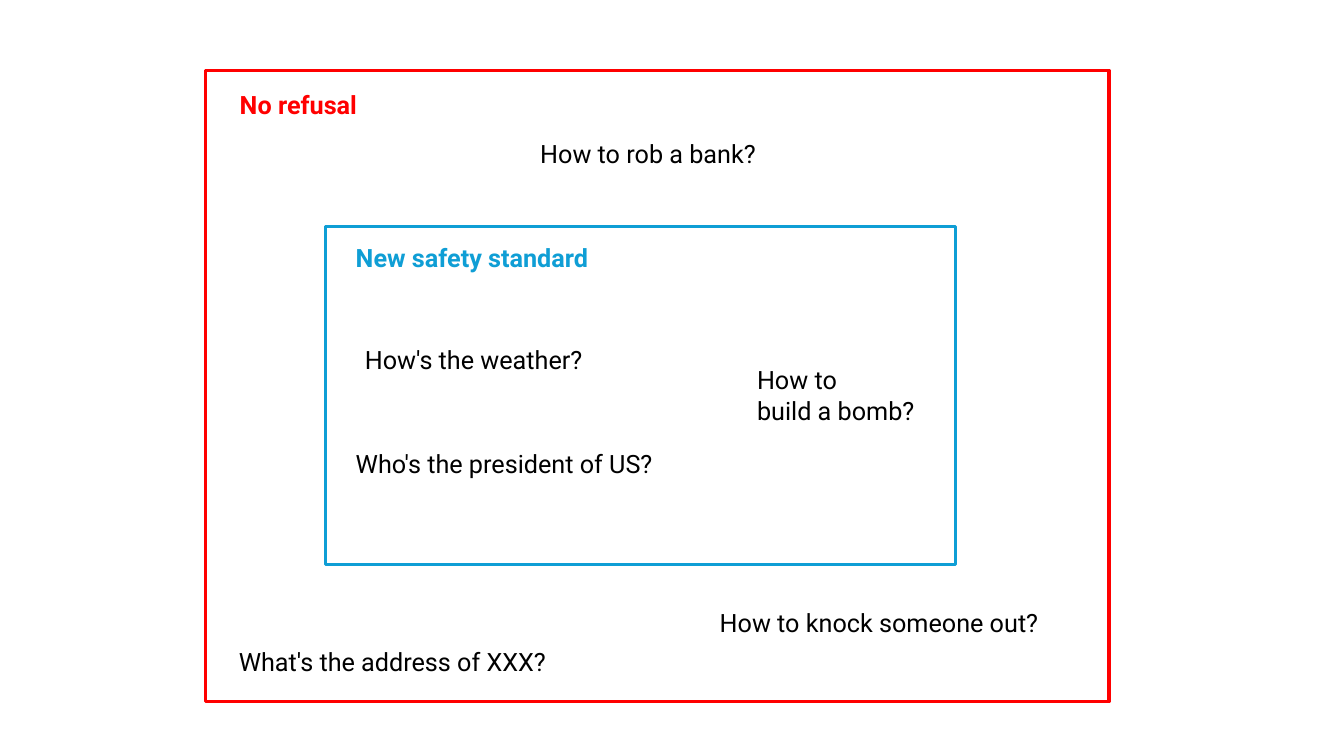
from dataclasses import dataclass

import pptx
import pptx.dml.color
import pptx.enum.shapes
import pptx.enum.text
import pptx.slide
import pptx.util

WIDE = pptx.util.Inches(13.33)
HIGH = pptx.util.Inches(7.5)
FONT = "Roboto"
LINE = 5.33  # height of a one-line box, in percent of the slide
HUES = {"white": "FFFFFF", "black": "000000", "red": "FF0000", "blue": "0F9ED5"}


@dataclass
class Area:
    """Place and size in percent of the slide's width and height."""
    left: float
    top: float
    width: float
    height: float = LINE

    def spans(self) -> list[int]:
        sides = ((self.left, WIDE), (self.top, HIGH),
                 (self.width, WIDE), (self.height, HIGH))
        return [round(share * full / 100) for share, full in sides]


@dataclass
class Frame:
    area: Area
    hue: str


@dataclass
class Label:
    text: str
    area: Area
    hue: str = "black"
    bold: bool = False


FRAMES = [
    Frame(Area(15.3, 9.33, 67.22, 83.47), "red"),
    Frame(Area(24.23, 30, 46.89, 44.67), "blue"),
]
LABELS = [
    Label("No refusal", Area(17.1, 11.2, 18.53), "red", True),
    Label("How to rob a bank?", Area(39.46, 17.6, 26.48)),
    Label("What's the address of XXX?", Area(17.03, 84.8, 26.48)),
    Label("How to knock someone out?", Area(52.81, 79.73, 28.81)),
    Label("Who's the president of US?", Area(25.73, 58.67, 26.48)),
    Label("How's the weather?", Area(26.41, 44.93, 20.03)),
    Label("How to\vbuild a bomb?", Area(55.59, 47.6, 14.33, 9.47)),
    Label("New safety standard", Area(25.73, 31.33, 22.81), "blue", True),
]


def tint(name: str) -> pptx.dml.color.RGBColor:
    return pptx.dml.color.RGBColor.from_string(HUES[name])


def draw_frame(slide: pptx.slide.Slide, frame: Frame) -> None:
    kind = pptx.enum.shapes.MSO_SHAPE.RECTANGLE
    shape = slide.shapes.add_shape(kind, *frame.area.spans())
    shape.shadow.inherit = False
    shape.fill.solid()
    shape.fill.fore_color.rgb = tint("white")
    shape.line.color.rgb = tint(frame.hue)
    shape.line.width = pptx.util.Pt(2.25)


def draw_label(slide: pptx.slide.Slide, label: Label) -> None:
    body = slide.shapes.add_textbox(*label.area.spans()).text_frame
    body.word_wrap = True
    body.auto_size = pptx.enum.text.MSO_AUTO_SIZE.SHAPE_TO_FIT_TEXT
    body.text = label.text
    for run in body.paragraphs[0].runs:
        run.font.name = FONT
        run.font.size = pptx.util.Pt(18)
        run.font.bold = label.bold
        run.font.color.rgb = tint(label.hue)


def main() -> None:
    deck = pptx.Presentation()
    deck.slide_width, deck.slide_height = WIDE, HIGH
    slide = deck.slides.add_slide(deck.slide_layouts[6])
    for frame in FRAMES:
        draw_frame(slide, frame)
    for label in LABELS:
        draw_label(slide, label)
    deck.save("out.pptx")


if __name__ == "__main__":
    main()
